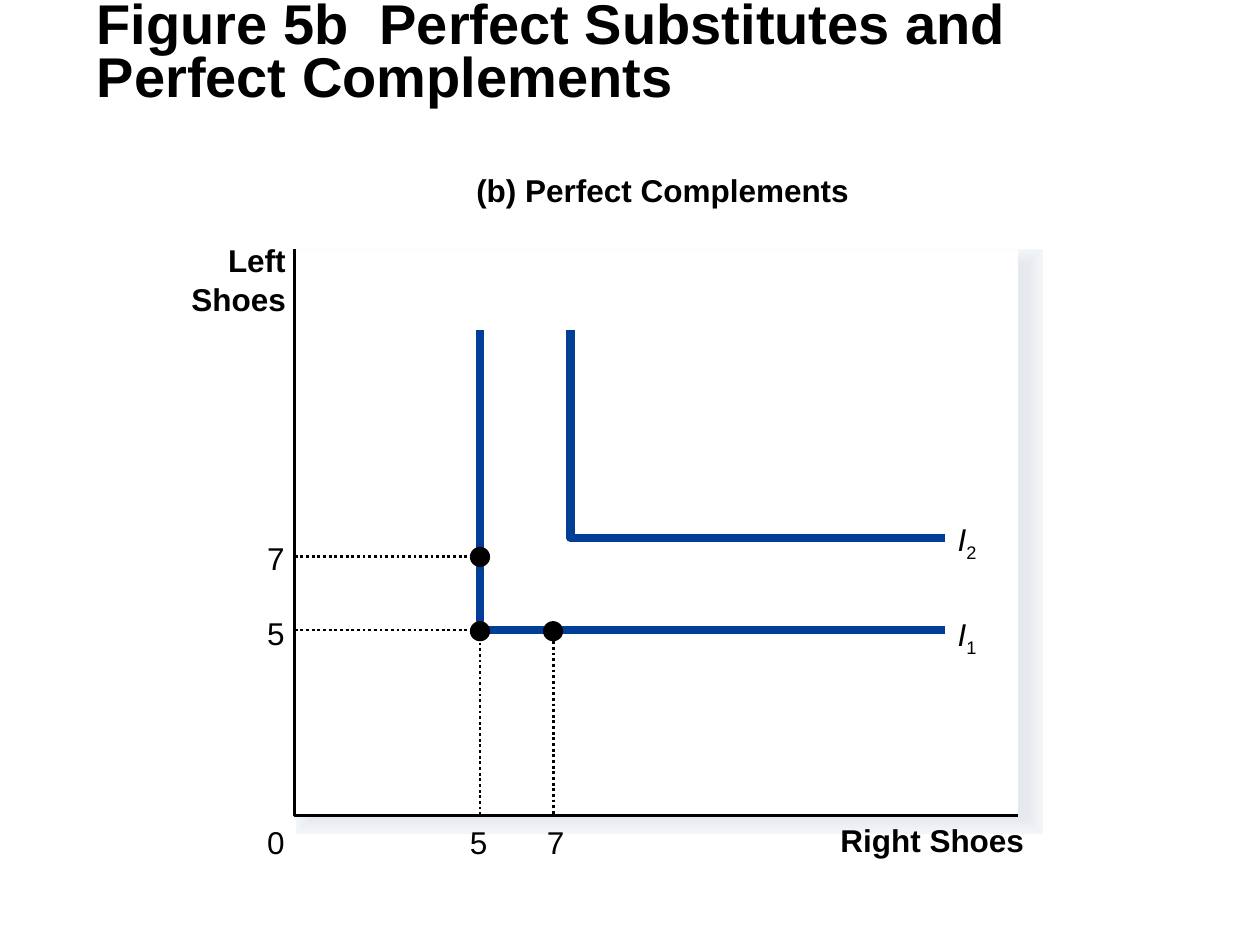
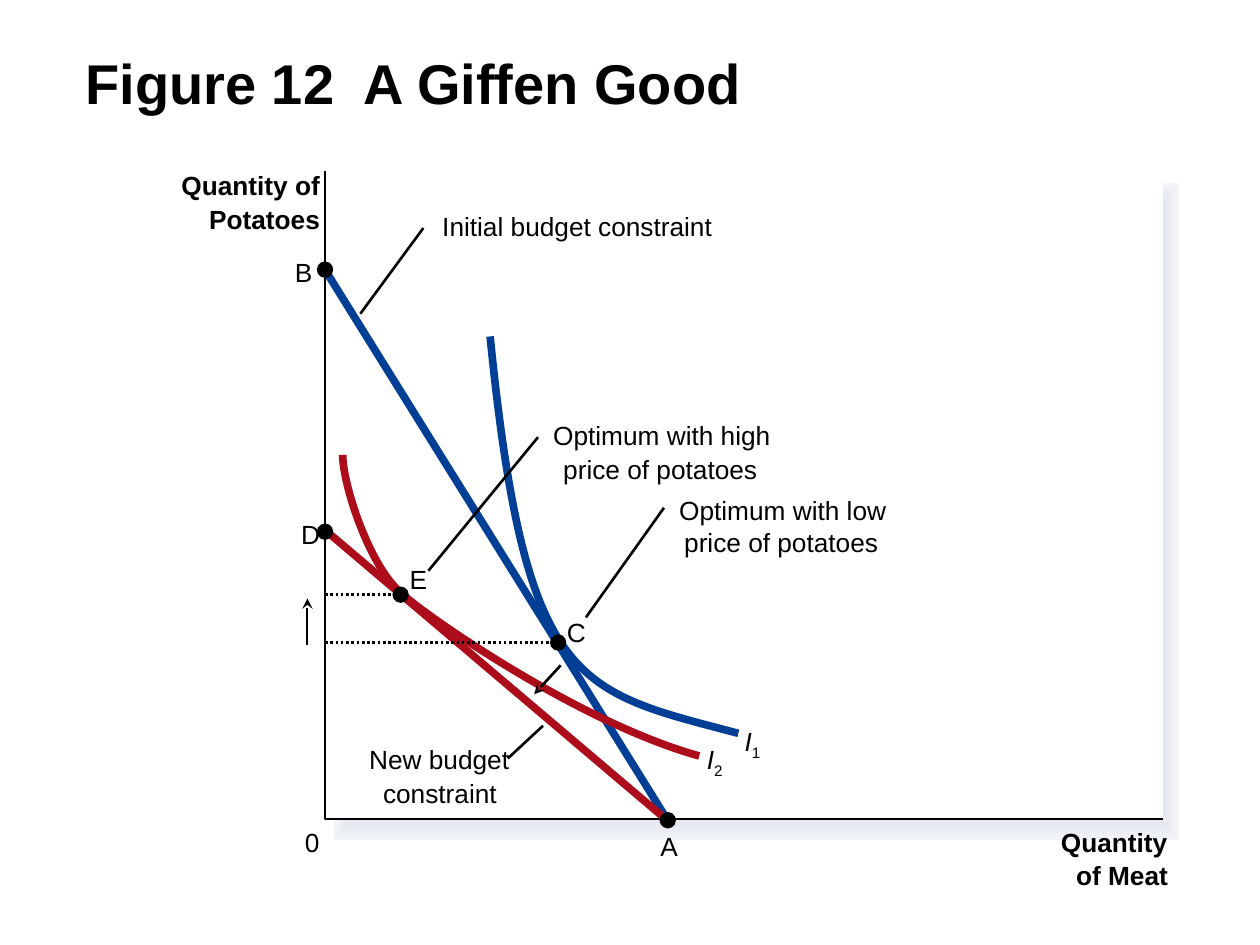
"""Build two economics figures: perfect complements and a Giffen good."""
import dataclasses

import pptx
import pptx.dml.color
import pptx.enum.dml
import pptx.enum.shapes
import pptx.enum.text
import pptx.oxml.xmlchemy
import pptx.shapes.base
import pptx.slide
import pptx.text.text
import pptx.util
from pptx.util import Inches

FONT = "Arial"
BLACK, WHITE, BLUE, RED = "000000", "FFFFFF", "003F95", "AD0D1B"
SHADOW_TINTS = ["F3F6F9", "F2F4F8", "F1F4F7", "F0F2F5", "EEF1F4", "EDEFF3",
                "EBEEF2", "EAECF1", "E9EBF0", "E7EAEF", "E6E9EF"]
TITLE_SIZE = 32
LABEL_SLACK = 0.05
TITLE_FRAME = {"word_wrap": True, "vertical_anchor": pptx.enum.text.MSO_ANCHOR.MIDDLE}
LABEL_FRAME = {"word_wrap": False, "margin_left": 0, "margin_right": 0,
               "margin_top": 0, "margin_bottom": 0,
               "auto_size": pptx.enum.text.MSO_AUTO_SIZE.NONE}

Point = tuple[float, float]
Box = tuple[float, float, float, float]


@dataclasses.dataclass
class Label:
    text: str
    left: float
    top: float
    width: float
    bold: bool = False
    subscript: str = ""


@dataclasses.dataclass
class Stroke:
    points: list[Point]
    color: str
    width: float
    dotted: bool = False
    arrow: bool = False
    curved: bool = False


@dataclasses.dataclass
class Figure:
    title: str
    title_corner: Point
    shadow: Box
    shadow_widths: tuple[float, float]
    plot: Box
    axis_width: float
    label_size: int
    dot_diameter: float
    strokes: list[Stroke]
    dots: list[Point]
    labels: list[Label]


def rgb(color: str) -> pptx.dml.color.RGBColor:
    return pptx.dml.color.RGBColor.from_string(color)


def apply_format(target: object, values: dict[str, object]) -> None:
    for attribute, value in values.items():
        setattr(target, attribute, value)


def add_run(paragraph: pptx.text.text._Paragraph, text: str, size: int,
            **style: bool) -> pptx.text.text._Run:
    run = paragraph.add_run()
    run.text = text
    apply_format(run.font, {"name": FONT, "size": pptx.util.Pt(size), **style})
    run.font.color.rgb = rgb(BLACK)
    return run


def draw_title(slide: pptx.slide.Slide, figure: Figure) -> None:
    left, top = figure.title_corner
    frame = slide.shapes.add_textbox(Inches(left), Inches(top), Inches(9), Inches(0.75)).text_frame
    apply_format(frame, TITLE_FRAME)
    frame.paragraphs[0].line_spacing = 0.8
    add_run(frame.paragraphs[0], figure.title, TITLE_SIZE, bold=True)


def draw_label(slide: pptx.slide.Slide, label: Label, size: int) -> None:
    frame = slide.shapes.add_textbox(Inches(label.left), Inches(label.top),
                                     Inches(label.width + LABEL_SLACK),
                                     Inches(size / 60)).text_frame
    apply_format(frame, LABEL_FRAME)
    paragraph = frame.paragraphs[0]
    paragraph.alignment = pptx.enum.text.PP_ALIGN.LEFT
    add_run(paragraph, label.text, size, bold=label.bold, italic=bool(label.subscript))
    if label.subscript:
        subscript = add_run(paragraph, label.subscript, size)
        subscript.font._element.set("baseline", "-25000")


def draw_solid(slide: pptx.slide.Slide, kind: pptx.enum.shapes.MSO_SHAPE, box: Box,
               color: str, outline: float = 0) -> None:
    shape = slide.shapes.add_shape(kind, *map(Inches, box))
    shape.shadow.inherit = False
    shape.fill.solid()
    shape.fill.fore_color.rgb = rgb(color)
    if outline:
        shape.line.color.rgb = rgb(color)
        shape.line.width = pptx.util.Pt(outline)
        corner = pptx.oxml.xmlchemy.OxmlElement("a:miter")
        corner.set("lim", "800000")
        shape.line._get_or_add_ln().append(corner)
    else:
        shape.line.fill.background()


def bend(shape: pptx.shapes.base.BaseShape) -> None:
    segments = shape._element.xpath(".//a:lnTo")
    for first in range(0, len(segments), 3):
        bezier = pptx.oxml.xmlchemy.OxmlElement("a:cubicBezTo")
        segments[first].addprevious(bezier)
        for segment in segments[first:first + 3]:
            bezier.append(segment[0])
            segment.getparent().remove(segment)


def draw_stroke(slide: pptx.slide.Slide, stroke: Stroke) -> None:
    points = [(Inches(x), Inches(y)) for x, y in stroke.points]
    if len(points) == 2:
        shape = slide.shapes.add_connector(pptx.enum.shapes.MSO_CONNECTOR.STRAIGHT,
                                           *points[0], *points[1])
        shape._element.spPr.append(pptx.oxml.xmlchemy.OxmlElement("a:effectLst"))
    else:
        builder = slide.shapes.build_freeform(*points[0])
        builder.add_line_segments(points[1:], close=False)
        shape = builder.convert_to_shape()
        shape.shadow.inherit = False
        shape.fill.background()
    if stroke.curved:
        bend(shape)
    shape.line.color.rgb = rgb(stroke.color)
    shape.line.width = pptx.util.Pt(stroke.width)
    if stroke.dotted:
        shape.line.dash_style = pptx.enum.dml.MSO_LINE.ROUND_DOT
    if stroke.arrow:
        arrowhead = pptx.oxml.xmlchemy.OxmlElement("a:tailEnd")
        arrowhead.set("type", "stealth")
        shape.line._get_or_add_ln().append(arrowhead)


def draw_plot(slide: pptx.slide.Slide, figure: Figure) -> None:
    rectangle = pptx.enum.shapes.MSO_SHAPE.RECTANGLE
    widest, narrowest = figure.shadow_widths
    step = (widest - narrowest) / (len(SHADOW_TINTS) - 1)
    for layer, tint in enumerate(SHADOW_TINTS):
        draw_solid(slide, rectangle, figure.shadow, tint, widest - layer * step)
    draw_solid(slide, rectangle, figure.plot, WHITE)
    left, top, width, height = figure.plot
    bottom = top + height
    axes = [(left, top), (left, bottom), (left + width, bottom)]
    draw_stroke(slide, Stroke(axes, BLACK, figure.axis_width))


def draw_figure(slide: pptx.slide.Slide, figure: Figure) -> None:
    draw_title(slide, figure)
    draw_plot(slide, figure)
    for stroke in figure.strokes:
        draw_stroke(slide, stroke)
    diameter = figure.dot_diameter
    for x, y in figure.dots:
        draw_solid(slide, pptx.enum.shapes.MSO_SHAPE.OVAL,
                   (x - diameter / 2, y - diameter / 2, diameter, diameter), BLACK)
    for label in figure.labels:
        draw_label(slide, label, figure.label_size)


COMPLEMENTS = Figure(
    title="Figure 5b  Perfect Substitutes and Perfect Complements",
    title_corner=(0.67, 0.06),
    shadow=(2.48, 2.1, 5.67, 4.39),
    shadow_widths=(18.37, 1.62),
    plot=(2.34, 1.98, 5.74, 4.49),
    axis_width=1.62,
    label_size=18,
    dot_diameter=0.16,
    strokes=[
        Stroke([(7.5, 5), (3.81, 5), (3.81, 2.62)], BLUE, 5),
        Stroke([(7.5, 4.27), (4.53, 4.27), (4.53, 2.62)], BLUE, 5),
        Stroke([(4.39, 5), (4.39, 6.47)], BLACK, 1.62, dotted=True),
        Stroke([(2.34, 4.42), (3.81, 4.42)], BLACK, 1.62, dotted=True),
        Stroke([(2.34, 5), (3.81, 5), (3.81, 6.47)], BLACK, 1.62, dotted=True),
    ],
    dots=[(4.39, 5.01), (3.81, 4.42), (3.81, 5.01)],
    labels=[
        Label("Right Shoes", 6.67, 6.52, 1.46, bold=True),
        Label("Left", 1.81, 1.91, 0.46, bold=True),
        Label("Shoes", 1.52, 2.22, 0.75, bold=True),
        Label("(b) Perfect Complements", 3.78, 1.36, 2.96, bold=True),
        Label("I", 7.6, 4.88, 0.15, subscript="1"),
        Label("I", 7.6, 4.13, 0.15, subscript="2"),
        Label("0", 2.12, 6.53, 0.14),
        Label("5", 3.73, 6.53, 0.14),
        Label("7", 4.34, 6.53, 0.14),
        Label("7", 2.12, 4.28, 0.14),
        Label("5", 2.12, 4.87, 0.14),
    ],
)

GIFFEN = Figure(
    title="Figure 12  A Giffen Good",
    title_corner=(0.58, 0.33),
    shadow=(2.76, 1.56, 6.49, 5),
    shadow_widths=(15.87, 1.5),
    plot=(2.58, 1.36, 6.65, 5.14),
    axis_width=1.5,
    label_size=15,
    dot_diameter=0.13,
    strokes=[
        Stroke([(2.56, 2.11), (5.33, 6.56)], BLUE, 4.37),
        Stroke([(2.44, 5.12), (2.44, 4.75)], BLACK, 1.13, arrow=True),
        Stroke([(2.72, 3.61), (2.72, 3.85), (2.94, 4.52), (3.2, 4.72),
                (3.32, 4.84), (4.55, 5.72), (5.55, 6)], RED, 4.37, curved=True),
        Stroke([(3.89, 2.67), (4.17, 5.46), (4.57, 5.48), (5.86, 5.82)],
               BLUE, 4.37, curved=True),
        Stroke([(2.86, 2.49), (3.36, 1.81)], BLACK, 1.5),
        Stroke([(4.03, 6.02), (4.31, 5.76)], BLACK, 1.5),
        Stroke([(2.56, 4.19), (5.33, 6.54)], RED, 4.37),
        Stroke([(4.65, 4.9), (5.27, 4.03)], BLACK, 1.5),
        Stroke([(3.4, 4.53), (4.27, 3.47)], BLACK, 1.5),
        Stroke([(2.58, 4.72), (3.18, 4.72)], BLACK, 1.5, dotted=True),
        Stroke([(2.58, 5.1), (4.45, 5.1)], BLACK, 1.5, dotted=True),
        Stroke([(4.45, 5.28), (4.24, 5.51)], BLACK, 1.5, arrow=True),
    ],
    dots=[(2.58, 4.22), (5.3, 6.51), (2.58, 2.14), (3.18, 4.72), (4.43, 5.1)],
    labels=[
        Label("Quantity", 8.42, 6.56, 0.85, bold=True),
        Label("of Meat", 8.54, 6.82, 0.73, bold=True),
        Label("Quantity of", 1.44, 1.34, 1.1, bold=True),
        Label("Potatoes", 1.66, 1.61, 0.88, bold=True),
        Label("0", 2.42, 6.56, 0.12),
        Label("I", 5.61, 5.9, 0.13, subscript="2"),
        Label("I", 5.91, 5.76, 0.13, subscript="1"),
        Label("Initial budget constraint", 3.51, 1.67, 2.14),
        Label("New budget", 2.93, 5.9, 1.11),
        Label("constraint", 3.04, 6.17, 0.9),
        Label("Optimum with low", 5.39, 3.92, 1.64),
        Label("price of potatoes", 5.43, 4.18, 1.54),
        Label("Optimum with high", 4.39, 3.33, 1.73),
        Label("price of potatoes", 4.47, 3.6, 1.54),
        Label("A", 5.24, 6.59, 0.14),
        Label("B", 2.34, 2.03, 0.14),
        Label("C", 4.5, 4.89, 0.15),
        Label("D", 2.39, 4.11, 0.15),
        Label("E", 3.25, 4.47, 0.14),
    ],
)


def main() -> None:
    presentation = pptx.Presentation()
    presentation.slide_width = Inches(10)
    presentation.slide_height = Inches(7.5)
    for figure in (COMPLEMENTS, GIFFEN):
        draw_figure(presentation.slides.add_slide(presentation.slide_layouts[6]), figure)
    presentation.save("out.pptx")


if __name__ == "__main__":
    main()
